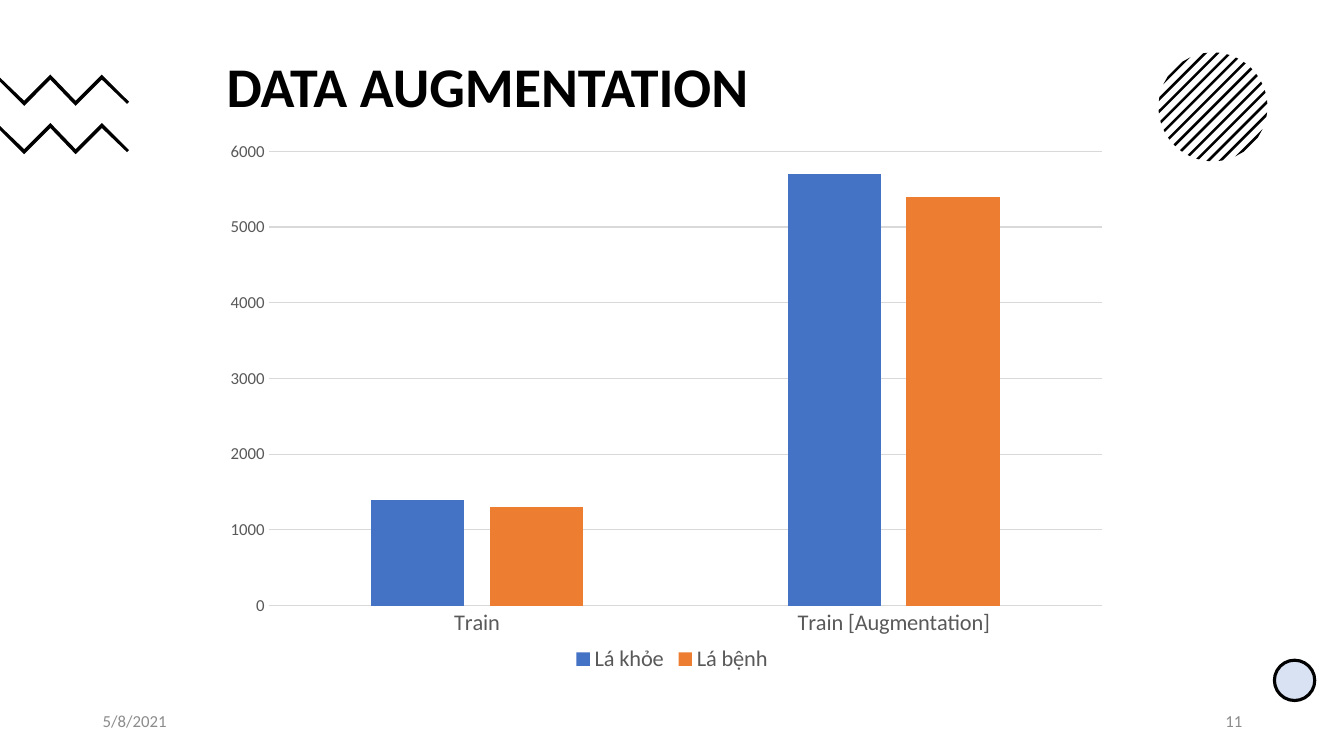
from math import sqrt

from lxml.etree import SubElement
from pptx import Presentation
from pptx.chart.data import CategoryChartData
from pptx.dml.color import RGBColor
from pptx.enum.chart import XL_CHART_TYPE as ChartType, XL_LEGEND_POSITION as LegendPosition, XL_TICK_MARK as TickMark
from pptx.enum.shapes import MSO_SHAPE as Preset
from pptx.enum.text import MSO_ANCHOR as Anchor, MSO_AUTO_SIZE as AutoSize, PP_ALIGN as Align
from pptx.oxml.ns import qn
from pptx.util import Pt

COLORS = {
    name: RGBColor.from_string(value)
    for name, value in {
        "ink": "000000",
        "footer": "8C8C8C",
        "label": "595959",
        "grid": "D9D9D9",
        "blue": "4472C4",
        "orange": "ED7D31",
    }.items()
}
FONT = "Calibri"


def px(length):
    return round(length * 9144)


def write(frame, text, size, color, bold=False, align=Align.LEFT, anchor=Anchor.MIDDLE, spacing=1.0):
    frame.word_wrap = True
    frame.auto_size = AutoSize.NONE
    frame.vertical_anchor = anchor
    paragraph = frame.paragraphs[0]
    paragraph.alignment = align
    paragraph.line_spacing = spacing
    run = paragraph.add_run()
    run.text = text
    run.font.name = FONT
    run.font.size = Pt(size)
    run.font.bold = bold
    run.font.color.rgb = COLORS[color]


deck = Presentation()
deck.slide_width, deck.slide_height = px(1333), px(750)
slide = deck.slides.add_slide(deck.slide_layouts[5])
shapes = slide.shapes

center_x, center_y, radius = 1203, 106, 54
stripe_pitch, stripe_half = 12.2, 1.8
outlines = []
for step in range(-6, 7):
    stripe = []
    for edge, side in ((-stripe_half, 1), (stripe_half, -1)):
        offset = step * stripe_pitch + edge
        reach = sqrt((radius**2 - offset**2 / 2) / 2)
        for direction in (side, -side):
            stripe.append((center_x + offset / 2 + direction * reach, center_y + offset / 2 - direction * reach))
    outlines.append(stripe)

zigzag = [
    (0, 77), (24, 100), (50, 74), (75, 100), (101, 74), (128, 101),
    (126, 103), (101, 79), (75, 105), (50, 79), (24, 105), (0, 81),
]
for drop in (0, 48):
    outlines.append([(x, y + drop) for x, y in zigzag])

for outline in outlines:
    corners = [(px(x), px(y)) for x, y in outline]
    builder = shapes.build_freeform(*corners[0])
    builder.add_line_segments(corners[1:], close=True)
    ornament = builder.convert_to_shape()
    ornament.shadow.inherit = False
    ornament.fill.solid()
    ornament.fill.fore_color.rgb = COLORS["ink"]
    ornament.line.fill.background()

dot = shapes.add_shape(Preset.OVAL, px(1264), px(655), px(40), px(40))
dot.shadow.inherit = False
dot.fill.solid()
dot.fill.fore_color.rgb = COLORS["blue"]
dot_color = dot._element.spPr.find(qn("a:solidFill")).find(qn("a:srgbClr"))
SubElement(dot_color, qn("a:alpha"), val="20000")
dot.line.color.rgb = COLORS["ink"]
dot.line.width = Pt(2.25)

title = shapes.title
title.left, title.top, title.width, title.height = px(175), px(91), px(617), px(33)
write(title.text_frame, "DATA AUGMENTATION", 40, "ink", bold=True, align=Align.CENTER, anchor=Anchor.BOTTOM, spacing=0.9)

for left, text, align in ((92, "5/8/2021", Align.LEFT), (942, "11", Align.RIGHT)):
    footer = shapes.add_textbox(px(left), px(695), px(300), px(40))
    write(footer.text_frame, text, 12, "footer", align=align)

leaf_counts = CategoryChartData()
leaf_counts.categories = ["Train", "Train [Augmentation]"]
leaf_counts.add_series("Lá khỏe", (1400, 5700))
leaf_counts.add_series("Lá bệnh", (1300, 5400))
chart = shapes.add_chart(
    ChartType.COLUMN_CLUSTERED, px(222), px(79), px(889), px(593), leaf_counts
).chart
chart.has_title = False
chart.font.name = FONT
chart.font.size = Pt(10)
chart.font.color.rgb = COLORS["ink"]

columns = chart.plots[0]
columns.vary_by_categories = False
columns.gap_width = 219
columns.overlap = -27
for series, color in zip(columns.series, ("blue", "orange")):
    series.format.fill.solid()
    series.format.fill.fore_color.rgb = COLORS[color]
    series.invert_if_negative = False

categories, counts = chart.category_axis, chart.value_axis
for axis in (categories, counts):
    axis.major_tick_mark = TickMark.NONE
    axis.minor_tick_mark = TickMark.NONE
counts.minimum_scale, counts.maximum_scale, counts.major_unit = 0, 6000, 1000
counts.format.line.fill.background()
counts.has_major_gridlines = True
for rule in (categories.format.line, counts.major_gridlines.format.line):
    rule.color.rgb = COLORS["grid"]
    rule.width = Pt(0.75)

chart.has_legend = True
chart.legend.position = LegendPosition.BOTTOM
chart.legend.include_in_layout = False
for font, size in ((categories.tick_labels.font, 16), (counts.tick_labels.font, 12), (chart.legend.font, 16)):
    font.name = FONT
    font.size = Pt(size)
    font.color.rgb = COLORS["label"]

plot_area = chart._chartSpace.chart.plotArea
for old_layout in plot_area.findall(qn("c:layout")):
    plot_area.remove(old_layout)
layout = SubElement(plot_area, qn("c:layout"))
plot_area.insert(0, layout)
manual = SubElement(layout, qn("c:manualLayout"))
for tag, value in (
    ("layoutTarget", "inner"), ("xMode", "edge"), ("yMode", "edge"),
    ("x", "0.05"), ("y", "0.12"), ("w", "0.93"), ("h", "0.76"),
):
    SubElement(manual, qn(f"c:{tag}"), val=value)

deck.save("out.pptx")
